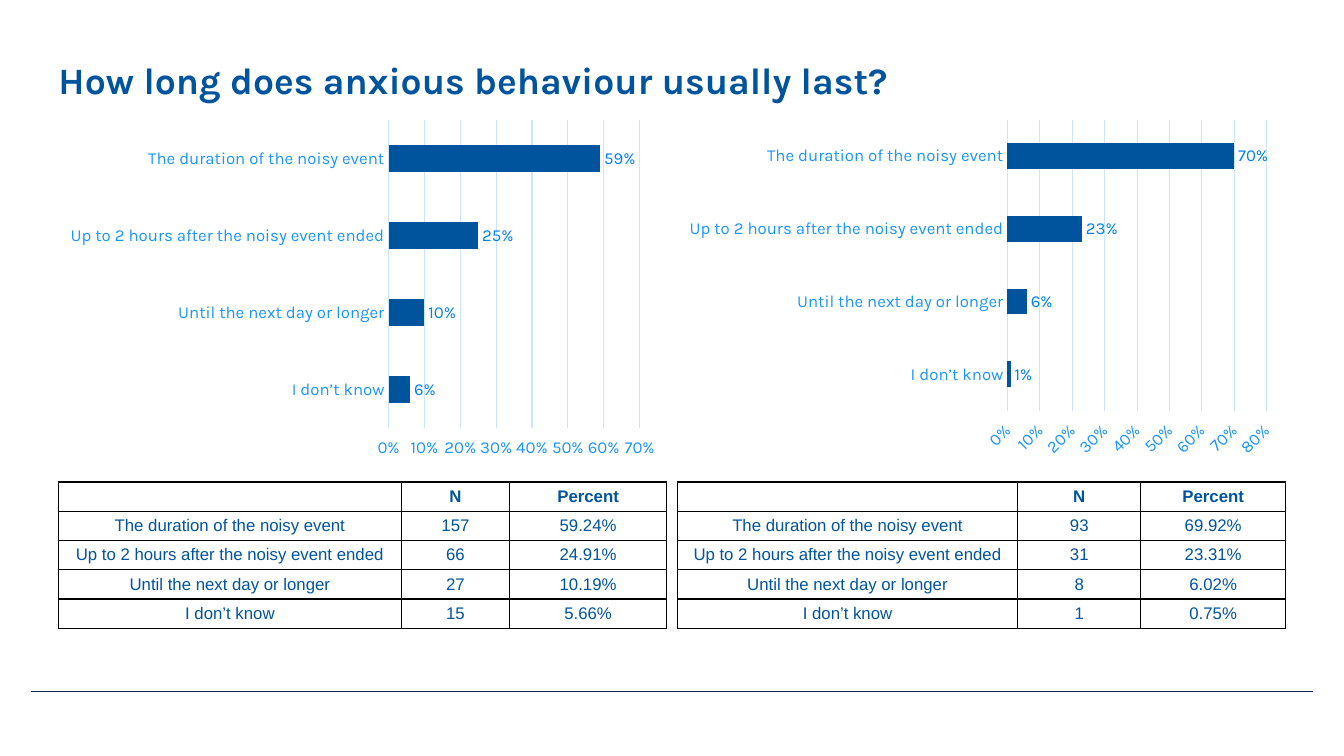
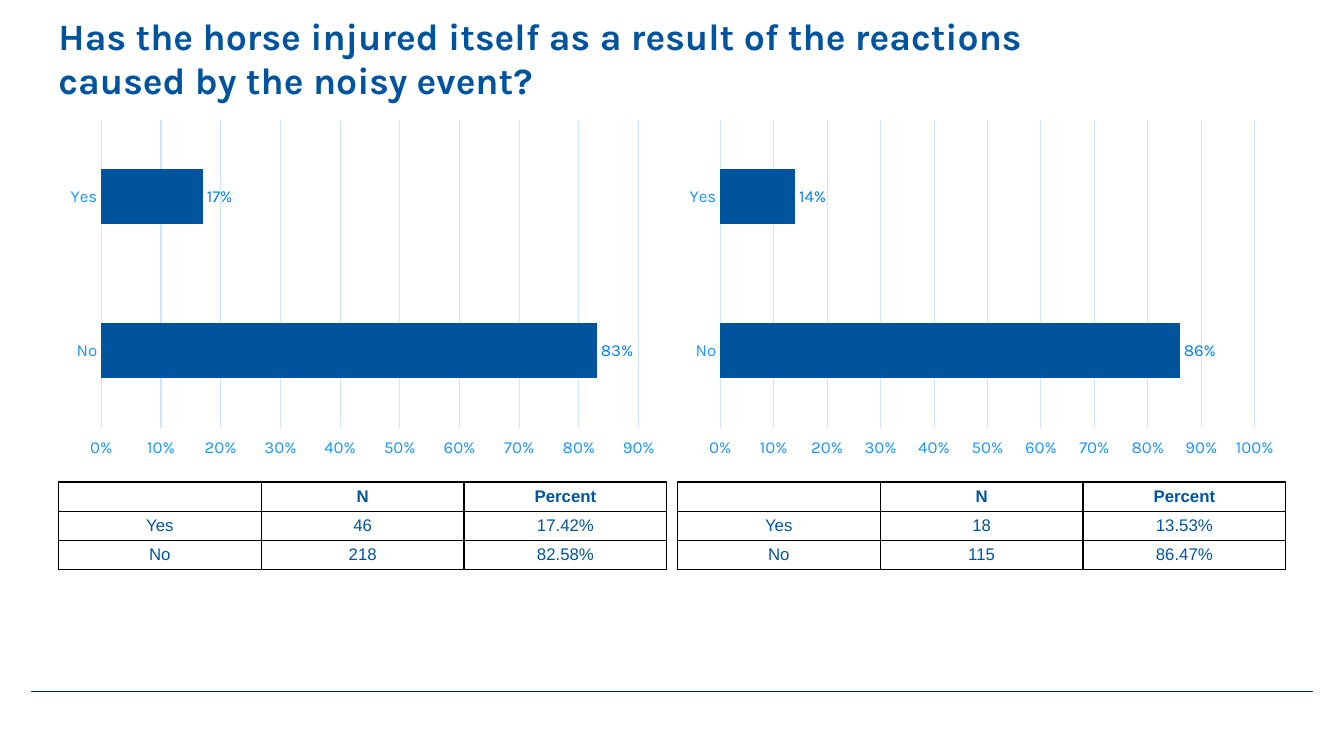
import pptx
import pptx.chart.data
import pptx.dml.color
import pptx.enum.chart
import pptx.enum.shapes
import pptx.enum.text
import pptx.oxml
import pptx.oxml.ns
import pptx.util

BLUE, SKY, PALE, NAVY = "00549E", "1A94FF", "CAE6FF", "00234A"
HEADING, BODY = "Karla", "Arial"
NS = pptx.oxml.ns.nsdecls("a")
Pt = pptx.util.Pt


def rgb(value):
    return pptx.dml.color.RGBColor.from_string(value)


def grid(*lengths):
    units = (prs.slide_width, prs.slide_height)
    return [int(n * units[i % 2] / 100) for i, n in enumerate(lengths)]


prs = pptx.Presentation()
prs.slide_width = pptx.util.Inches(13.33)
prs.slide_height = pptx.util.Inches(7.5)
LEFT, PANEL_W, PANEL_STEP = 4.35, 45.27, 46.05
TITLE_BOTTOM, TITLE_LINE = 13.55, 6
CHART_TOP, CHART_H = 14.93, 46.53
TABLE_TOP, ROW_H = 63.75, 3.87

layout = prs.slide_layouts[5]
style = prs.slide_master.element.find(".//" + pptx.oxml.ns.qn("p:titleStyle"))
level = style.find(pptx.oxml.ns.qn("a:lvl1pPr"))
style.replace(level, pptx.oxml.parse_xml(
    f'<a:lvl1pPr {NS} algn="l"><a:spcBef><a:spcPts val="0"/></a:spcBef><a:buNone/>'
    f'<a:defRPr sz="2660" b="1"><a:solidFill><a:srgbClr val="{BLUE}"/></a:solidFill>'
    f'<a:latin typeface="{HEADING}"/></a:defRPr></a:lvl1pPr>'))

long_answers = ["The duration of the noisy event", "Up to 2 hours after the noisy event ended",
                "Until the next day or longer", "I don’t know"]
slides = [
    ("How long does anxious behaviour usually last?", 1, long_answers, [
        ([0.59, 0.25, 0.1, 0.06], [157, 66, 27, 15],
         ["59.24%", "24.91%", "10.19%", "5.66%"], [3.4, 1.07, 1.56]),
        ([0.7, 0.23, 0.06, 0.01], [93, 31, 8, 1],
         ["69.92%", "23.31%", "6.02%", "0.75%"], [3.38, 1.22, 1.44])]),
    ("Has the horse injured itself as a result of the reactions caused by the noisy event?",
     2, ["Yes", "No"], [
         ([0.17, 0.83], [46, 218], ["17.42%", "82.58%"], [1, 1, 1]),
         ([0.14, 0.86], [18, 115], ["13.53%", "86.47%"], [1, 1, 1])]),
]

for title, lines, answers, panels in slides:
    s = prs.slides.add_slide(layout)
    sp = s.shapes.title
    height = lines * TITLE_LINE
    sp.left, sp.top, sp.width, sp.height = grid(LEFT, TITLE_BOTTOM - height, 72.5, height)
    tf = sp.text_frame
    tf.text = title
    tf.word_wrap = True
    tf.vertical_anchor = pptx.enum.text.MSO_ANCHOR.BOTTOM
    tf.auto_size = pptx.enum.text.MSO_AUTO_SIZE.SHAPE_TO_FIT_TEXT
    tf.margin_left = tf.margin_right = tf.margin_top = tf.margin_bottom = 0

    for i, (shares, counts, percents, widths) in enumerate(panels):
        x = LEFT + i * PANEL_STEP
        data = pptx.chart.data.CategoryChartData(number_format="0%")
        data.categories = answers
        data.add_series("Series 1", shares)
        chart = s.shapes.add_chart(pptx.enum.chart.XL_CHART_TYPE.BAR_CLUSTERED,
                                   *grid(x, CHART_TOP, PANEL_W, CHART_H), data).chart
        chart.has_legend = chart.has_title = False
        chart.font.size, chart.font.name = Pt(10), HEADING
        chart.font.color.rgb = rgb(BLUE)
        plot = chart.plots[0]
        plot.gap_width, plot.vary_by_categories = 182, False
        plot.series[0].format.fill.solid()
        plot.series[0].format.fill.fore_color.rgb = rgb(BLUE)
        plot.has_data_labels = True
        labels = plot.data_labels
        labels.show_value = True
        labels.position = pptx.enum.chart.XL_LABEL_POSITION.OUTSIDE_END
        cat, val = chart.category_axis, chart.value_axis
        for part in (labels, cat.tick_labels, val.tick_labels):
            part.font.size, part.font.name = Pt(12), HEADING
            part.font.color.rgb = rgb(SKY)
        labels.font.color.rgb = rgb("0080F0")
        for axis in (cat, val):
            axis.major_tick_mark = axis.minor_tick_mark = pptx.enum.chart.XL_TICK_MARK.NONE
        cat.reverse_order = True
        val.tick_label_position = pptx.enum.chart.XL_TICK_LABEL_POSITION.HIGH
        val.tick_labels.number_format = "0%"
        val.tick_labels.number_format_is_linked = False
        val.format.line.fill.background()
        for line in (cat.format.line, val.major_gridlines.format.line):
            line.width = Pt(0.75)
            line.color.rgb = rgb(PALE)

        rows = [("", "N", "Percent"), *zip(answers, counts, percents)]
        box = grid(x, TABLE_TOP, PANEL_W, ROW_H * len(rows))
        table = s.shapes.add_table(len(rows), 3, *box).table
        table.first_row = table.horz_banding = False
        for c, width in enumerate(widths):
            table.columns[c].width = int(box[2] * width / sum(widths))
        for r, row in enumerate(rows):
            for c, value in enumerate(row):
                cell = table.cell(r, c)
                cell.margin_top = cell.margin_bottom = pptx.util.Inches(0.04)
                cell.vertical_anchor = pptx.enum.text.MSO_ANCHOR.MIDDLE
                for side in ("lnL", "lnR", "lnT", "lnB"):
                    cell._tc.get_or_add_tcPr().append(pptx.oxml.parse_xml(
                        f'<a:{side} {NS} w="12700"><a:solidFill><a:srgbClr val="000000"/>'
                        f'</a:solidFill></a:{side}>'))
                cell.fill.background()
                p = cell.text_frame.paragraphs[0]
                p.text = str(value)
                p.alignment = pptx.enum.text.PP_ALIGN.CENTER
                p._p.get_or_add_endParaRPr().set("sz", "1200")
                for run in p.runs:
                    run.font.size, run.font.name, run.font.bold = Pt(12), BODY, r == 0
                    run.font.color.rgb = rgb(BLUE)

x1, y, x2 = grid(2.33, 91.47, 97.67)
rule = prs.slides[0].shapes.add_connector(pptx.enum.shapes.MSO_CONNECTOR.STRAIGHT, x1, y, x2, y)
rule.line.width = Pt(0.5)
rule.line.color.rgb = rgb(NAVY)
rule._element.spPr.append(pptx.oxml.parse_xml(f"<a:effectLst {NS}/>"))
layout.shapes._spTree.append(rule._element)

prs.save("out.pptx")
